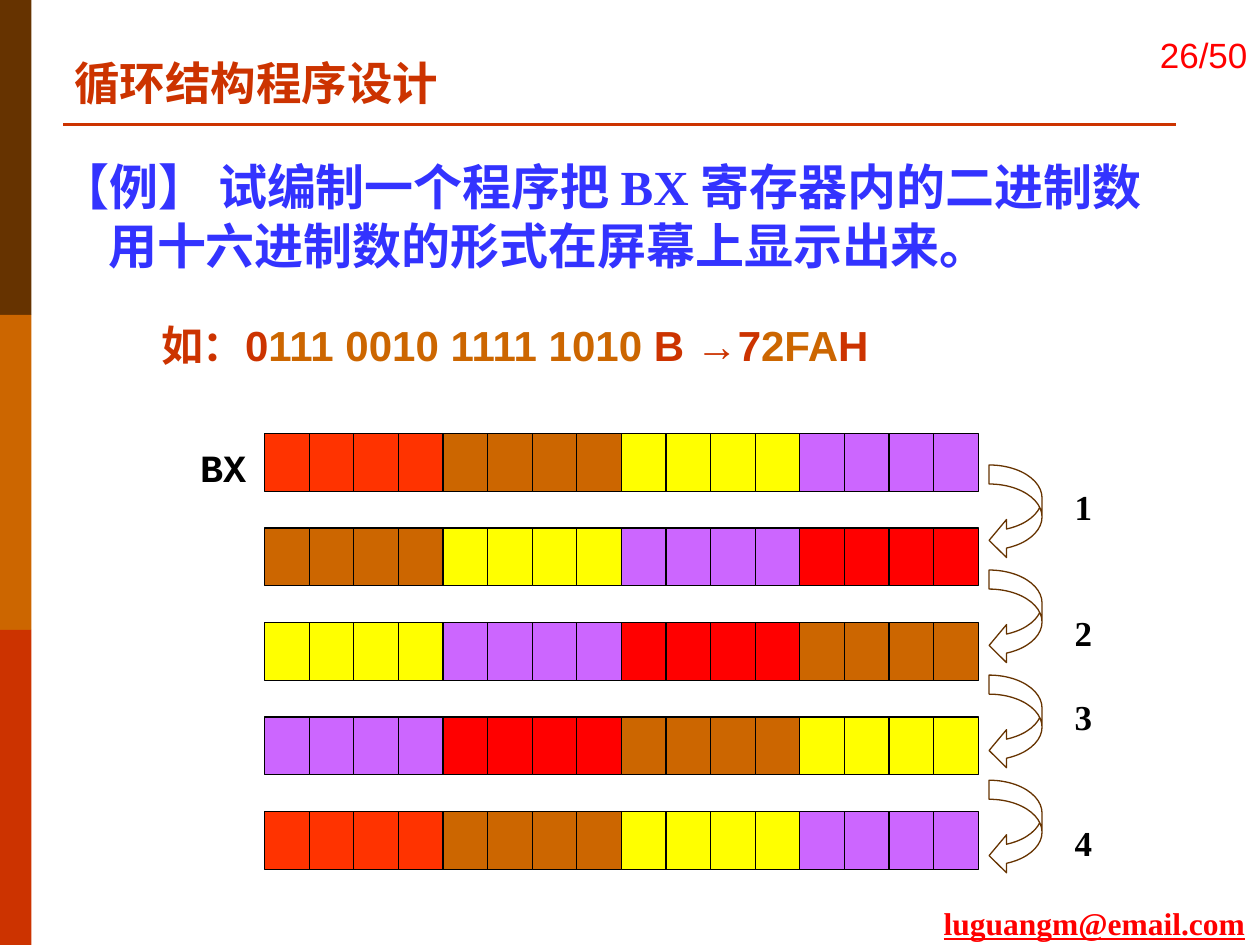
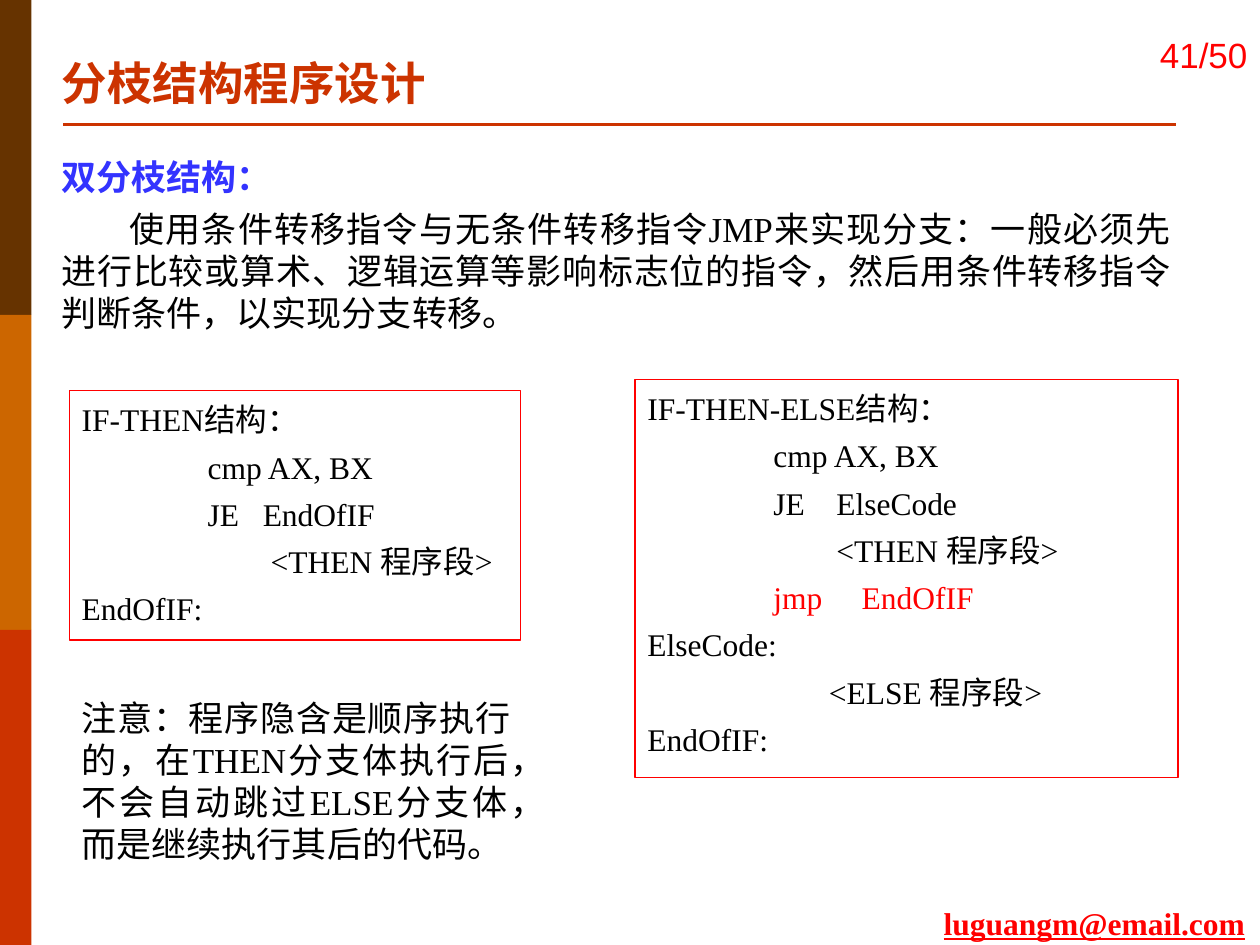
from dataclasses import dataclass
from typing import Optional, Sequence

import pptx
import pptx.dml.color
import pptx.enum.shapes
import pptx.enum.text
import pptx.oxml.ns
import pptx.util
from lxml import etree

ALIGN = pptx.enum.text.PP_ALIGN
ANCHOR = pptx.enum.text.MSO_ANCHOR
SHAPE = pptx.enum.shapes.MSO_SHAPE


@dataclass(frozen=True)
class Theme:
    brown: str = "663300"
    ochre: str = "CC6600"
    brick: str = "CC3300"
    orange: str = "FF3300"
    red: str = "FF0000"
    yellow: str = "FFFF00"
    violet: str = "CC66FF"
    blue: str = "3333FF"
    black: str = "000000"
    serif: str = "Times New Roman"
    sans: str = "Arial"
    mono: str = "Courier New"
    chinese: str = "Noto Sans CJK SC"
    title: int = 26
    example: int = 28
    sample: int = 24
    label: int = 22
    text: int = 20
    code: int = 18
    hairline: float = 0.75
    rule: float = 1.5
    leading: float = 1.2
    drop: float = 0.11


THEME = Theme()
COLUMNS, ROWS = 100, 75
SLIDE_WIDTH, SLIDE_HEIGHT = pptx.util.Inches(10), pptx.util.Inches(7.5)


@dataclass(frozen=True)
class Area:
    column: float
    row: float
    columns: float
    rows: float

    def lengths(self) -> tuple[int, int, int, int]:
        return across(self.column), down(self.row), across(self.columns), down(self.rows)


@dataclass(frozen=True)
class Span:
    text: str
    color: str = THEME.black
    font: str = THEME.serif
    bold: bool = False
    underline: bool = False


@dataclass(frozen=True)
class Para:
    spans: Sequence[Span]
    size: int
    align: ALIGN = ALIGN.JUSTIFY
    before: float = 0
    indent: float = 0
    first: float = 0


def across(columns: float) -> int:
    return round(SLIDE_WIDTH * columns / COLUMNS)


def down(rows: float) -> int:
    return round(SLIDE_HEIGHT * rows / ROWS)


def rgb(color: str) -> pptx.dml.color.RGBColor:
    return pptx.dml.color.RGBColor.from_string(color)


def write(frame, paras: Sequence[Para], anchor=ANCHOR.TOP, wrap: bool = True) -> None:
    frame.word_wrap = wrap
    frame.auto_size = pptx.enum.text.MSO_AUTO_SIZE.NONE
    frame.vertical_anchor = anchor
    frame.margin_left = frame.margin_right = across(1)
    frame.margin_top = frame.margin_bottom = down(0.5)
    if anchor == ANCHOR.TOP:
        frame.margin_top += pptx.util.Pt(THEME.drop * paras[0].size)
    for index, para in enumerate(paras):
        paragraph = frame.add_paragraph() if index else frame.paragraphs[0]
        paragraph.alignment = para.align
        paragraph.line_spacing = pptx.util.Pt(THEME.leading * para.size)
        paragraph.space_before = pptx.util.Pt(para.before if index else 0)
        properties = paragraph._p.get_or_add_pPr()
        properties.set("marL", str(across(para.indent)))
        properties.set("indent", str(across(para.first)))
        for span in para.spans:
            run = paragraph.add_run()
            run.text = span.text
            font = run.font
            font.name, font.size = span.font, pptx.util.Pt(para.size)
            font.bold, font.underline = span.bold, span.underline
            font.color.rgb = rgb(span.color)
            east_asian = etree.SubElement(run._r.get_or_add_rPr(), pptx.oxml.ns.qn("a:ea"))
            east_asian.set("typeface", THEME.chinese)


def add_text(page, area: Area, paras: Sequence[Para], anchor=ANCHOR.TOP, wrap: bool = True):
    box = page.shapes.add_textbox(*area.lengths())
    write(box.text_frame, paras, anchor, wrap)
    return box


def add_block(page, area: Area, fill: Optional[str] = None, line: Optional[str] = None,
              kind: SHAPE = SHAPE.RECTANGLE):
    block = page.shapes.add_shape(kind, *area.lengths())
    block.shadow.inherit = False
    if fill:
        block.fill.solid()
        block.fill.fore_color.rgb = rgb(fill)
    else:
        block.fill.background()
    if line:
        block.line.color.rgb = rgb(line)
        block.line.width = pptx.util.Pt(THEME.hairline)
    else:
        block.line.fill.background()
    return block


def add_page(deck, title: str, title_column: float, number: str):
    page = deck.slides.add_slide(deck.slide_layouts[5])
    bands = (THEME.brown, THEME.ochre, THEME.brick)
    height = ROWS / len(bands)
    for index, color in enumerate(bands):
        add_block(page, Area(0, index * height, 2.5, height), color)
    rule = page.shapes.add_connector(
        pptx.enum.shapes.MSO_CONNECTOR.STRAIGHT,
        across(5), down(9.9), across(93.3), down(9.9))
    rule.line.color.rgb = rgb(THEME.brick)
    rule.line.width = pptx.util.Pt(THEME.rule)
    etree.SubElement(rule._element.spPr, pptx.oxml.ns.qn("a:effectLst"))

    heading = page.shapes.title
    heading.left, heading.top, heading.width, heading.height = Area(
        title_column, 3.5, 69.9, 5.4).lengths()
    write(heading.text_frame,
          [Para([Span(title, THEME.brick, bold=True)], THEME.title, ALIGN.LEFT)])
    add_text(page, Area(73.9, 71, 26.1, 4),
             [Para([Span("luguangm@email.com", THEME.red, bold=True, underline=True)],
                   THEME.code, ALIGN.LEFT)], wrap=False)
    add_text(page, Area(87.8, 0.1, 12.2, 8.4),
             [Para([Span(number, THEME.red, THEME.sans)], THEME.text, ALIGN.RIGHT)],
             ANCHOR.MIDDLE)
    return page


def add_registers(page) -> None:
    nibbles = [THEME.red, THEME.ochre, THEME.yellow, THEME.violet]
    bits, states = 4, 5
    cell_width, cell_height, pitch = 3.54, 4.6, 7.5
    for state in range(states):
        turn = state % len(nibbles)
        order = nibbles[turn:] + nibbles[:turn]
        if turn == 0:
            order[0] = THEME.orange
        for bit in range(bits * len(order)):
            add_block(page, Area(21 + bit * cell_width, 34.4 + state * pitch,
                                 cell_width, cell_height), order[bit // bits], THEME.black)
    for step in range(states - 1):
        arrow = add_block(page, Area(78.5, 36.9 + step * 8.34, 4.2, 7.5),
                          line=THEME.brown, kind=SHAPE.CURVED_LEFT_ARROW)
        for index, value in enumerate((0.36, 0.72, 0.33)):
            arrow.adjustments[index] = value


def build_loop_page(deck) -> None:
    page = add_page(deck, "循环结构程序设计", 4.9, "26/50")
    example = "【例】 试编制一个程序把 BX 寄存器内的二进制数用十六进制数的形式在屏幕上显示出来。"
    add_text(page, Area(3.8, 11.5, 90, 10.8),
             [Para([Span(example, THEME.blue, bold=True)], THEME.example, ALIGN.LEFT,
                   indent=3.8, first=-3.8)])
    sample = (("如：0", THEME.brick), ("111 0010 1111 1010", THEME.ochre),
              (" B →7", THEME.brick), ("2FA", THEME.ochre), ("H", THEME.brick))
    add_text(page, Area(11.8, 24.5, 80, 5),
             [Para([Span(text, color, THEME.sans, True) for text, color in sample],
                   THEME.sample, ALIGN.LEFT)])
    add_registers(page)
    add_text(page, Area(14.9, 34.4, 6, 5),
             [Para([Span("BX", font=THEME.mono, bold=True)], THEME.label)], wrap=False)
    line = THEME.text * THEME.leading
    gaps = (0, 2, 1, 2)
    add_text(page, Area(84.3, 37.7, 7.5, 31),
             [Para([Span(str(step), bold=True)], THEME.text, before=gap * line)
              for step, gap in enumerate(gaps, 1)])


def add_code(page, area: Area, lines: Sequence[tuple]) -> None:
    block = add_block(page, area, line=THEME.red)
    write(block.text_frame,
          [Para([Span(text, color)], THEME.code, before=0.3 * THEME.code, indent=indent)
           for text, indent, color in lines])
    block.text_frame.margin_right = 0


def build_branch_page(deck) -> None:
    page = add_page(deck, "分枝结构程序设计", 3.9, "41/50")
    explanation = ("使用条件转移指令与无条件转移指令JMP来实现分支：一般必须先进行比较或算术、"
                   "逻辑运算等影响标志位的指令，然后用条件转移指令判断条件，以实现分支转移。")
    add_text(page, Area(3.9, 11.5, 90, 15),
             [Para([Span("双分枝结构：", THEME.blue, THEME.chinese, True)], THEME.text),
              Para([Span(explanation)], THEME.text, before=0.3 * THEME.text, first=5.4)])
    black, red = THEME.black, THEME.red
    add_code(page, Area(5.5, 31, 35.8, 19.8), [
        ("IF-THEN结构：", 0, black),
        ("cmp AX, BX", 10, black),
        ("JE   EndOfIF", 10, black),
        ("<THEN 程序段>", 15, black),
        ("EndOfIF:", 0, black)])
    add_code(page, Area(50.4, 30.1, 43.1, 31.6), [
        ("IF-THEN-ELSE结构：", 0, black),
        ("cmp AX, BX", 10, black),
        ("JE    ElseCode", 10, black),
        ("<THEN 程序段>", 15, black),
        ("jmp     EndOfIF", 10, red),
        ("ElseCode:", 0, black),
        ("<ELSE 程序段>", 14.4, black),
        ("EndOfIF:", 0, black)])
    note = "注意：程序隐含是顺序执行的，在THEN分支体执行后，不会自动跳过ELSE分支体，而是继续执行其后的代码。"
    add_text(page, Area(5.5, 54.5, 36, 14.5), [Para([Span(note)], THEME.text)])


def main() -> None:
    deck = pptx.Presentation()
    deck.slide_width, deck.slide_height = SLIDE_WIDTH, SLIDE_HEIGHT
    build_loop_page(deck)
    build_branch_page(deck)
    deck.save("out.pptx")


if __name__ == "__main__":
    main()
